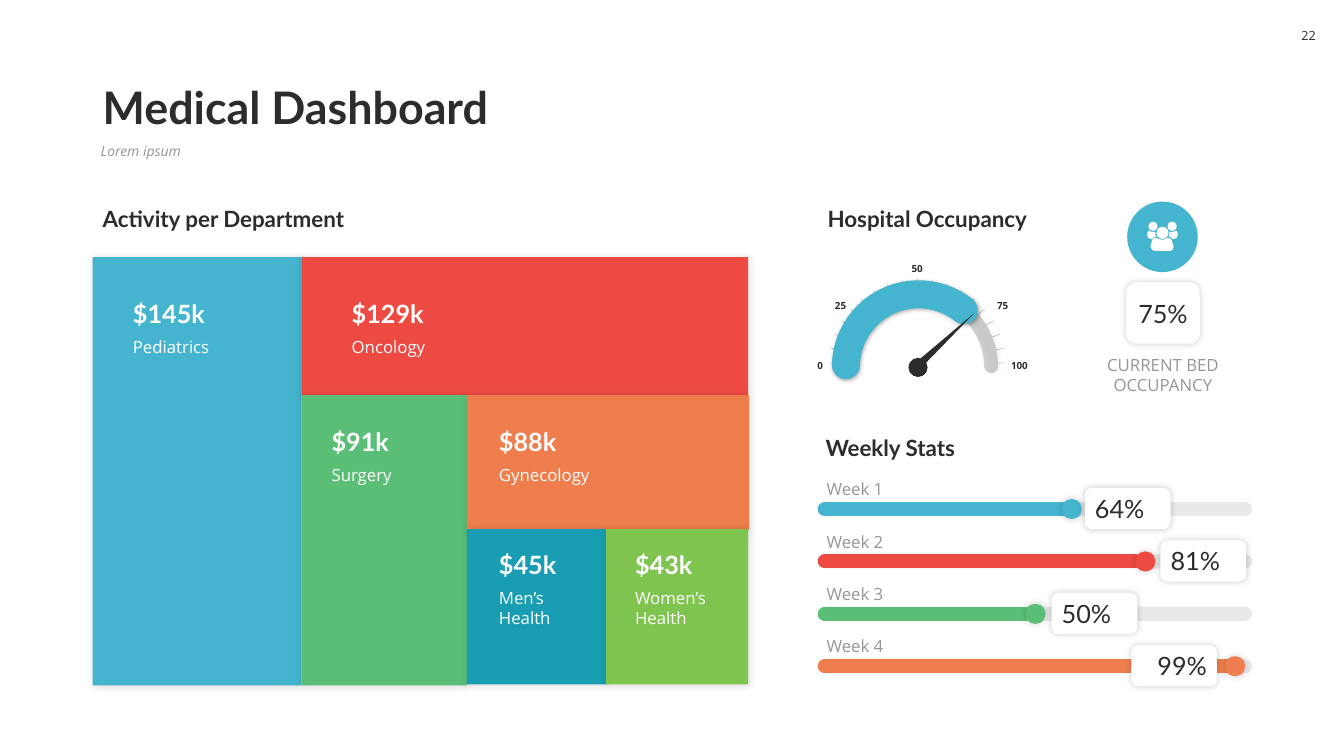
from dataclasses import dataclass
from math import cos, radians, sin
from typing import NamedTuple

from lxml.etree import SubElement
from pptx import Presentation
from pptx.dml.color import RGBColor
from pptx.enum.shapes import MSO_CONNECTOR, MSO_SHAPE
from pptx.enum.text import MSO_ANCHOR, MSO_AUTO_SIZE, PP_ALIGN
from pptx.oxml.ns import qn
from pptx.util import Inches, Pt


class Shadow(NamedTuple):
    opacity: int
    blur: float
    distance: float


@dataclass(frozen=True)
class Theme:
    dark: str = "2C2C2C"
    grey: str = "969696"
    white: str = "FFFFFF"
    blue: str = "45B5CF"
    red: str = "ED4A43"
    green: str = "5BBE77"
    orange: str = "EE7E4D"
    teal: str = "199DB3"
    lime: str = "7EC44E"
    heading_font: str = "Lato"
    body_font: str = "Open Sans"
    title: int = 32
    heading: int = 16
    figure: int = 18
    label: int = 12
    subtitle: int = 10
    page: int = 9
    scale: int = 7
    tile_shadow: Shadow = Shadow(15, 6, 1)
    badge_shadow: Shadow = Shadow(20, 5, 0)
    arc_shadow: Shadow = Shadow(30, 3, 1)


T = Theme()


class Box(NamedTuple):
    left: float
    top: float
    width: float
    height: float


class Style(NamedTuple):
    size: int
    name: str
    color: str
    bold: bool = False
    italic: bool = False


TITLE = Style(T.title, T.heading_font, T.dark, bold=True)
SUBTITLE = Style(T.subtitle, T.body_font, T.grey, italic=True)
PAGE = Style(T.page, T.body_font, T.dark)
HEADING = Style(T.heading, T.heading_font, T.dark, bold=True)
TILE_VALUE = Style(T.figure, T.heading_font, T.white, bold=True)
TILE_NAME = Style(T.label, T.body_font, T.white)
SCALE = Style(T.scale, T.body_font, T.dark, bold=True)
FIGURE = Style(T.figure, T.heading_font, T.dark)
LABEL = Style(T.label, T.body_font, T.grey)


class Department(NamedTuple):
    name: str
    value: str
    box: Box
    color: str
    text_left: float
    text_top: float
    text_width: float
    name_height: float = 0.3


class Week(NamedTuple):
    percent: str
    color: str
    bar_end: float
    knob_left: float
    badge_left: float
    align: PP_ALIGN = PP_ALIGN.LEFT


class ScaleMark(NamedTuple):
    text: str
    box: Box
    align: PP_ALIGN
    anchor: MSO_ANCHOR = MSO_ANCHOR.MIDDLE
    wrap: bool = False


DEPARTMENTS = [
    Department("Pediatrics", "$145k", Box(0.92, 2.55, 2.07, 4.25), T.blue, 1.22, 2.91, 1.86),
    Department("Oncology", "$129k", Box(2.99, 2.55, 4.43, 1.37), T.red, 3.39, 2.91, 1.86),
    Department("Surgery", "$91k", Box(2.99, 3.92, 1.64, 2.88), T.green, 3.19, 4.18, 1.29),
    Department("Gynecology", "$88k", Box(4.63, 3.92, 2.8, 1.34), T.orange, 4.85, 4.18, 2.09),
    Department("Men’s Health", "$45k", Box(4.63, 5.25, 1.39, 1.54), T.teal, 4.85, 5.4, 1.05, 0.5),
    Department("Women’s Health", "$43k", Box(6.01, 5.25, 1.41, 1.54), T.lime, 6.2, 5.4, 1.05, 0.5),
]
WEEKS = [
    Week("64%", T.blue, 10.6, 10.53, 10.76),
    Week("81%", T.red, 11.26, 11.26, 11.51),
    Week("50%", T.green, 10.17, 10.17, 10.43),
    Week("99%", T.orange, 12.27, 12.15, 11.22, PP_ALIGN.RIGHT),
]
SCALE_MARKS = [
    ScaleMark("0", Box(8, 3.52, 0.26, 0.22), PP_ALIGN.RIGHT),
    ScaleMark("25", Box(8.18, 2.92, 0.31, 0.22), PP_ALIGN.RIGHT),
    ScaleMark("50", Box(8.94, 2.55, 0.31, 0.22), PP_ALIGN.RIGHT, MSO_ANCHOR.BOTTOM),
    ScaleMark("75", Box(9.79, 2.92, 0.31, 0.22), PP_ALIGN.LEFT),
    ScaleMark("100", Box(9.93, 3.52, 0.45, 0.22), PP_ALIGN.LEFT, wrap=True),
]

# People icon, in hundredths of an inch
SIDE_BODY = [(9, 15), (7, 15), (5, 17), (3, 17), (1, 16), (0, 14), (0, 11), (1, 9), (2, 9),
             (4, 10), (6, 10), (8, 10), (8, 13)]
MIDDLE_BODY = [(26, 25), (25, 28), (22, 29), (8, 29), (5, 28), (3, 25), (4, 21), (5, 18), (7, 16),
               (9, 16), (11, 17), (15, 18), (18, 17), (20, 16), (22, 16), (24, 18), (25, 21)]
HEADS = [Box(11.39, 2.2, 0.09, 0.09), Box(11.58, 2.2, 0.09, 0.09), Box(11.47, 2.25, 0.12, 0.12)]

deck = Presentation()
deck.slide_width, deck.slide_height = Inches(13.33), Inches(7.5)
shapes = deck.slides.add_slide(deck.slide_layouts[6]).shapes


def write(shape, text: str, style: Style, align=PP_ALIGN.LEFT, anchor=MSO_ANCHOR.MIDDLE,
          inset: float = 0.1, wrap: bool = True, spacing: float = 1.0) -> None:
    frame = shape.text_frame
    layout = {"word_wrap": wrap, "vertical_anchor": anchor,
              "margin_left": Inches(inset), "margin_right": Inches(inset)}
    for key, value in layout.items():
        setattr(frame, key, value)
    paragraph = frame.paragraphs[0]
    paragraph.alignment, paragraph.line_spacing = align, spacing
    run = paragraph.add_run()
    run.text = text
    font = {"size": Pt(style.size), "name": style.name, "bold": style.bold, "italic": style.italic}
    for key, value in font.items():
        setattr(run.font, key, value)
    run.font.color.rgb = RGBColor.from_string(style.color)


def add_text(box: Box, text: str, style: Style, anchor=MSO_ANCHOR.BOTTOM, **options) -> None:
    label = shapes.add_textbox(*map(Inches, box))
    write(label, text, style, anchor=anchor, **options)
    label.text_frame.auto_size = MSO_AUTO_SIZE.NONE


def cast_shadow(shape, shadow: Shadow) -> None:
    effects = shape._element.spPr.find(qn("a:effectLst"))
    outer = SubElement(effects, qn("a:outerShdw"), blurRad=str(Pt(shadow.blur)),
                       dist=str(Pt(shadow.distance)), dir="2700000", algn="ctr", rotWithShape="0")
    black = SubElement(outer, qn("a:srgbClr"), val="000000")
    SubElement(black, qn("a:alpha"), val=str(shadow.opacity * 1000))


def paint(shape, color: str) -> None:
    shape.shadow.inherit = False
    shape.fill.solid()
    shape.fill.fore_color.rgb = RGBColor.from_string(color)
    shape.line.fill.background()


def add_solid(kind: MSO_SHAPE, box: Box, color: str, shadow: Shadow | None = None):
    solid = shapes.add_shape(kind, *map(Inches, box))
    paint(solid, color)
    if shadow:
        cast_shadow(solid, shadow)
    return solid


def stroke(shape, color: str, width: float, opacity: int = 100, rounded: bool = True) -> None:
    shape.line.width = Pt(width)
    shape.line.color.rgb = RGBColor.from_string(color)
    outline = shape._element.spPr.find(qn("a:ln"))
    if rounded:
        outline.set("cap", "rnd")
    if opacity < 100:
        SubElement(outline.find(".//" + qn("a:srgbClr")), qn("a:alpha"), val=str(opacity * 1000))


def add_line(start: tuple[float, float], end: tuple[float, float], *look, **options) -> None:
    line = shapes.add_connector(MSO_CONNECTOR.STRAIGHT, *map(Inches, start + end))
    stroke(line, *look, **options)
    SubElement(line._element.spPr, qn("a:effectLst"))


def add_gauge_arc(start: float, end: float, *look) -> None:
    arc = shapes.add_shape(MSO_SHAPE.ARC, *map(Inches, (8.39, 2.92, 1.44, 1.44)))
    arc.adjustments[0], arc.adjustments[1] = start, end
    arc.fill.background()
    stroke(arc, *look)
    arc.shadow.inherit = False
    cast_shadow(arc, T.arc_shadow)


def add_badge(box: Box, text: str, **options) -> None:
    write(add_solid(MSO_SHAPE.ROUNDED_RECTANGLE, box, T.white, T.badge_shadow), text, FIGURE, **options)


# Header
add_text(Box(0.92, 0.58, 11.5, 0.8), "Medical Dashboard", TITLE, spacing=0.9)
add_text(Box(0.9, 1.38, 11.52, 0.36), "Lorem ipsum", SUBTITLE, MSO_ANCHOR.TOP, spacing=0.9)
add_text(Box(12.8, 0.18, 0.36, 0.35), "22", PAGE, MSO_ANCHOR.MIDDLE,
         align=PP_ALIGN.CENTER, inset=0, wrap=False)
for left, top, heading in [(0.92, 1.98, "Activity per Department"),
                           (8.11, 1.98, "Hospital Occupancy"), (8.09, 4.25, "Weekly Stats")]:
    add_text(Box(left, top, 4.34, 0.37), heading, HEADING)

# Department treemap
for dept in DEPARTMENTS:
    add_solid(MSO_SHAPE.RECTANGLE, dept.box, dept.color, T.tile_shadow)
for dept in DEPARTMENTS:
    add_text(Box(dept.text_left, dept.text_top, dept.text_width, 0.4), dept.value, TILE_VALUE)
    add_text(Box(dept.text_left, dept.text_top + 0.38, dept.text_width, dept.name_height),
             dept.name, TILE_NAME, MSO_ANCHOR.TOP)

# Occupancy gauge
add_gauge_arc(107.69, 215.58, T.dark, 10, 20)
add_solid(MSO_SHAPE.OVAL, Box(9.01, 3.55, 0.19, 0.19), T.dark)
for degrees in range(0, 181, 10):
    across, up = cos(radians(degrees)), sin(radians(degrees))
    add_line((9.1 + 0.87 * across, 3.6 - 0.83 * up), (9.1 + 0.79 * across, 3.6 - 0.75 * up),
             T.dark, 0.5, 30, rounded=False)
for mark in SCALE_MARKS:
    add_text(mark.box, mark.text, SCALE, mark.anchor, align=mark.align, wrap=mark.wrap)
add_gauge_arc(108.8, 185.2, T.blue, 20)
add_solid(MSO_SHAPE.ISOSCELES_TRIANGLE, Box(9.33, 2.97, 0.08, 0.82), T.dark).rotation = 47

# Bed occupancy
add_badge(Box(11.17, 2.8, 0.73, 0.61), "75%", align=PP_ALIGN.CENTER, inset=0)
add_text(Box(10.8, 3.47, 1.47, 0.5), "CURRENT BED OCCUPANCY", LABEL, MSO_ANCHOR.TOP,
         align=PP_ALIGN.CENTER, inset=0.04)
add_solid(MSO_SHAPE.OVAL, Box(11.18, 2, 0.7, 0.7), T.blue)
bodies = shapes.build_freeform(*MIDDLE_BODY[0], scale=Inches(0.01))
bodies.add_line_segments(MIDDLE_BODY[1:])
for body in (SIDE_BODY, [(30 - x, y) for x, y in SIDE_BODY]):
    bodies.move_to(*body[0])
    bodies.add_line_segments(body[1:])
paint(bodies.convert_to_shape(Inches(11.38), Inches(2.2)), T.white)
for head in HEADS:
    add_solid(MSO_SHAPE.OVAL, head, T.white)

# Weekly sliders
for index, week in enumerate(WEEKS):
    y = 5.05 + 0.52 * index
    add_text(Box(8.1, y - 0.35, 1.94, 0.3), f"Week {index + 1}", LABEL)
    add_line((8.18, y), (12.35, y), T.dark, 10, 10)
    add_line((8.18, y), (week.bar_end, y), week.color, 10)
    add_solid(MSO_SHAPE.OVAL, Box(week.knob_left, y - 0.1, 0.2, 0.2), week.color, T.badge_shadow)
    add_badge(Box(week.badge_left, y - 0.21, 0.85, 0.41), week.percent, align=week.align, inset=0.08)

deck.save("out.pptx")
